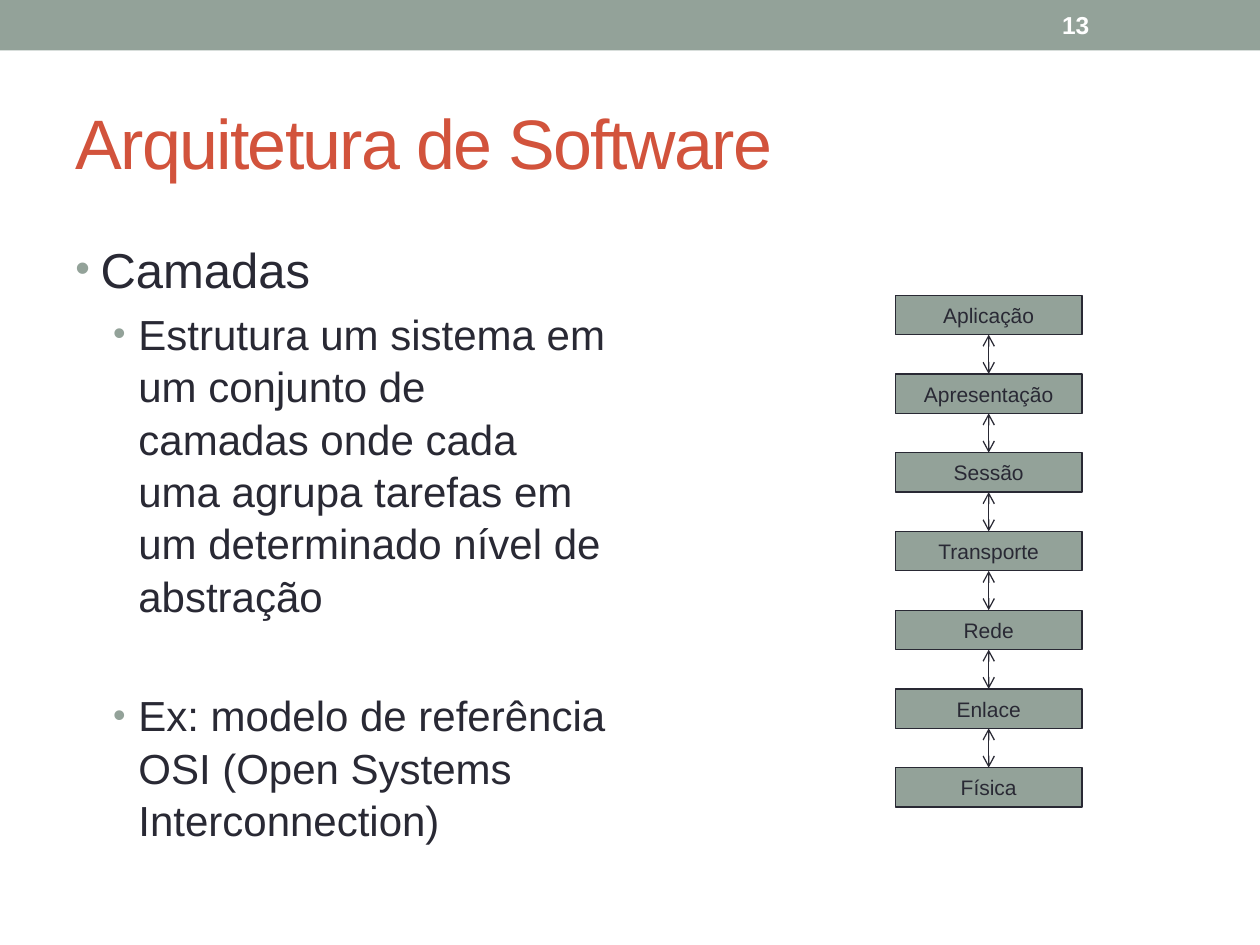
from lxml import etree
from pptx import Presentation
from pptx import util as u
from pptx.dml.color import RGBColor
from pptx.enum import shapes, text
from pptx.oxml.ns import qn

SAGE, DARK, RED, WHITE = "93A299", "292934", "D2533C", "FFFFFF"
FONT = "Arial"
LAYERS = ["Aplicação", "Apresentação", "Sessão", "Transporte",
          "Rede", "Enlace", "Física"]
# Text, size, left indent, space before
BULLETS = [
    ("Camadas", 28, 14.4, 0),
    ("Estrutura um sistema em um conjunto de camadas onde cada uma agrupa "
     "tarefas em um determinado nível de abstração", 24, 36, 4.8),
    ("Ex: modelo de referência OSI (Open Systems Interconnection)",
     24, 36, 38.4),
]


def color(value):
    return RGBColor.from_string(value)


def set_attributes(target, values):
    for name, value in values.items():
        setattr(target, name, value)


def place(shape, left, top, width, height):
    set_attributes(shape, {"left": u.Pt(left), "top": u.Pt(top),
                           "width": u.Pt(width), "height": u.Pt(height)})


def write(paragraph, content, size, hex_color, bold=False):
    run = paragraph.add_run()
    run.text = content
    set_attributes(run.font, {"name": FONT, "size": u.Pt(size), "bold": bold})
    run.font.color.rgb = color(hex_color)
    return run


def add_box(slide, left, top, width, height, line=None):
    box = slide.shapes.add_shape(
        shapes.MSO_SHAPE.RECTANGLE,
        u.Pt(left), u.Pt(top), u.Pt(width), u.Pt(height))
    box.shadow.inherit = False
    box.fill.solid()
    box.fill.fore_color.rgb = color(SAGE)
    if line:
        box.line.color.rgb = color(line)
        box.line.width = u.Pt(0.75)
    else:
        box.line.fill.background()
    return box


def add_text_box(slide, left, top, width, height, anchor):
    box = slide.shapes.add_textbox(
        u.Pt(left), u.Pt(top), u.Pt(width), u.Pt(height))
    set_attributes(box.text_frame, {"word_wrap": True,
                                    "vertical_anchor": anchor})
    return box.text_frame


def add_double_arrow(slide, x, top, bottom):
    arrow = slide.shapes.add_connector(
        shapes.MSO_CONNECTOR.STRAIGHT,
        u.Pt(x), u.Pt(top), u.Pt(x), u.Pt(bottom))
    arrow.line.color.rgb = color(DARK)
    arrow.line.width = u.Pt(0.75)
    line = arrow.line._get_or_add_ln()
    for end in ("a:headEnd", "a:tailEnd"):
        etree.SubElement(line, qn(end), type="arrow")
    etree.SubElement(arrow._element.spPr, qn("a:effectLst"))


def add_bullet(paragraph, indent):
    properties = paragraph._p.get_or_add_pPr()
    properties.set("marL", str(u.Pt(indent)))
    properties.set("indent", str(u.Pt(-14.4)))
    bullet_color = etree.SubElement(properties, qn("a:buClr"))
    etree.SubElement(bullet_color, qn("a:srgbClr"), val=SAGE)
    etree.SubElement(properties, qn("a:buSzPct"), val="85000")
    etree.SubElement(properties, qn("a:buFont"), typeface=FONT)
    etree.SubElement(properties, qn("a:buChar"), char="•")


def add_title(slide, content):
    title = slide.shapes.title
    place(title, 36, 41.8, 648, 77.8)
    frame = title.text_frame
    set_attributes(frame, {"vertical_anchor": text.MSO_ANCHOR.MIDDLE,
                           "auto_size": text.MSO_AUTO_SIZE.NONE})
    paragraph = frame.paragraphs[0]
    paragraph.alignment = text.PP_ALIGN.LEFT
    run = write(paragraph, content, 40, RED)
    run._r.get_or_add_rPr().set("spc", "-100")


def add_body(slide):
    frame = add_text_box(slide, 36, 131.8, 318.2, 371.5, text.MSO_ANCHOR.TOP)
    for index, (content, size, indent, before) in enumerate(BULLETS):
        paragraph = frame.add_paragraph() if index else frame.paragraphs[0]
        set_attributes(paragraph, {"space_before": u.Pt(before),
                                   "line_spacing": 1.04})
        add_bullet(paragraph, indent)
        write(paragraph, content, size, DARK)


def add_layer_stack(slide):
    left, top, width, height, pitch = 511.6, 168.7, 106.8, 22.5, 45
    for index, name in enumerate(LAYERS):
        y = top + index * pitch
        frame = add_box(slide, left, y, width, height, DARK).text_frame
        set_attributes(frame, {"margin_top": 0, "margin_bottom": 0,
                               "vertical_anchor": text.MSO_ANCHOR.MIDDLE})
        paragraph = frame.paragraphs[0]
        paragraph.alignment = text.PP_ALIGN.CENTER
        write(paragraph, name, 12, DARK)
        if index:
            add_double_arrow(slide, left + width / 2, y - pitch + height, y)


def main():
    presentation = Presentation()
    set_attributes(presentation, {"slide_width": u.Pt(720),
                                  "slide_height": u.Pt(540)})
    slide = presentation.slides.add_slide(presentation.slide_layouts[5])

    # Top band and page number
    add_box(slide, 0, 0, 720, 28.8)
    number = add_text_box(slide, 599.8, 1.4, 84.2, 25.9,
                          text.MSO_ANCHOR.MIDDLE)
    write(number.paragraphs[0], "13", 14, WHITE, bold=True)

    # Title and bullets
    add_title(slide, "Arquitetura de Software")
    add_body(slide)

    # Layer diagram
    add_layer_stack(slide)
    presentation.save("out.pptx")


if __name__ == "__main__":
    main()
